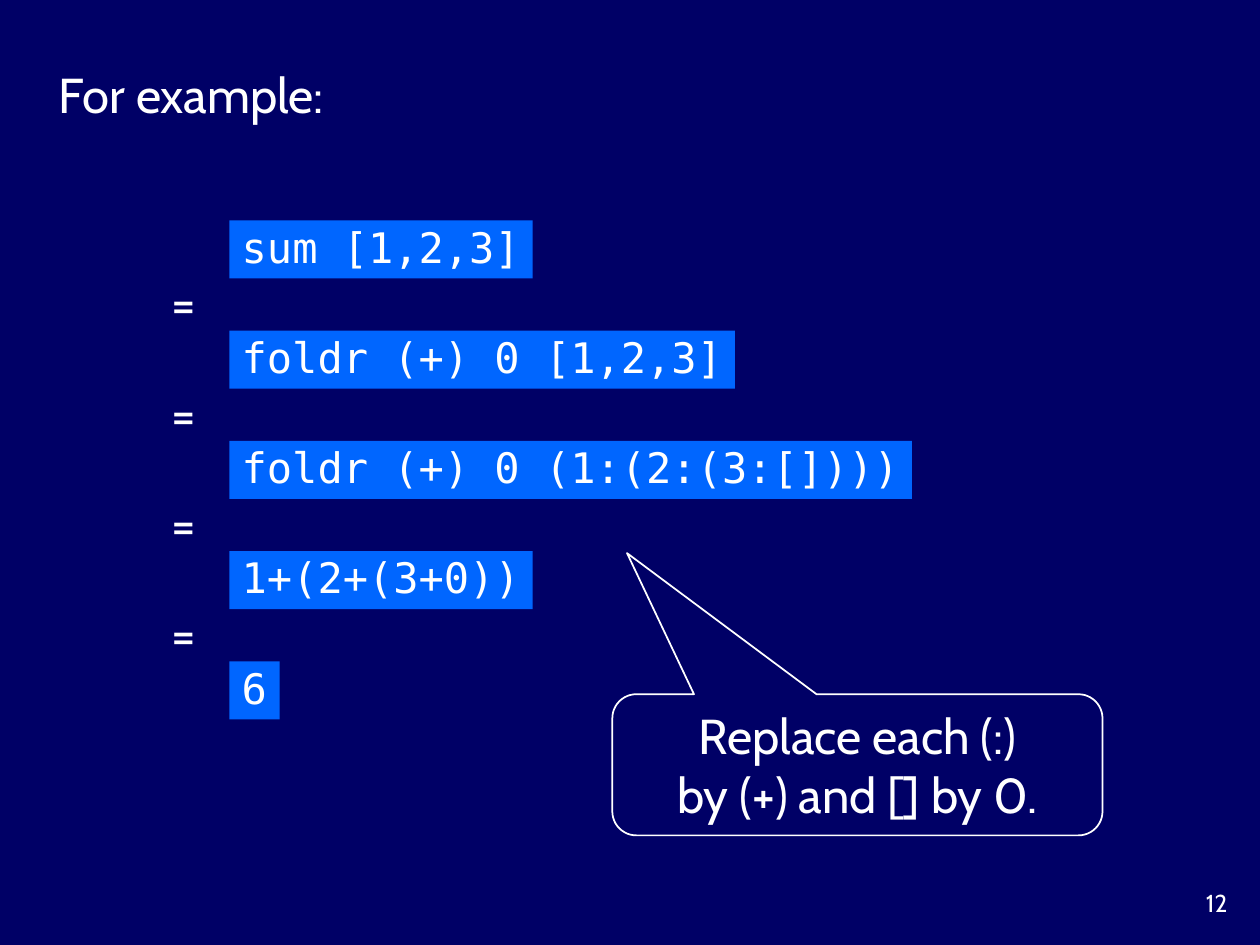
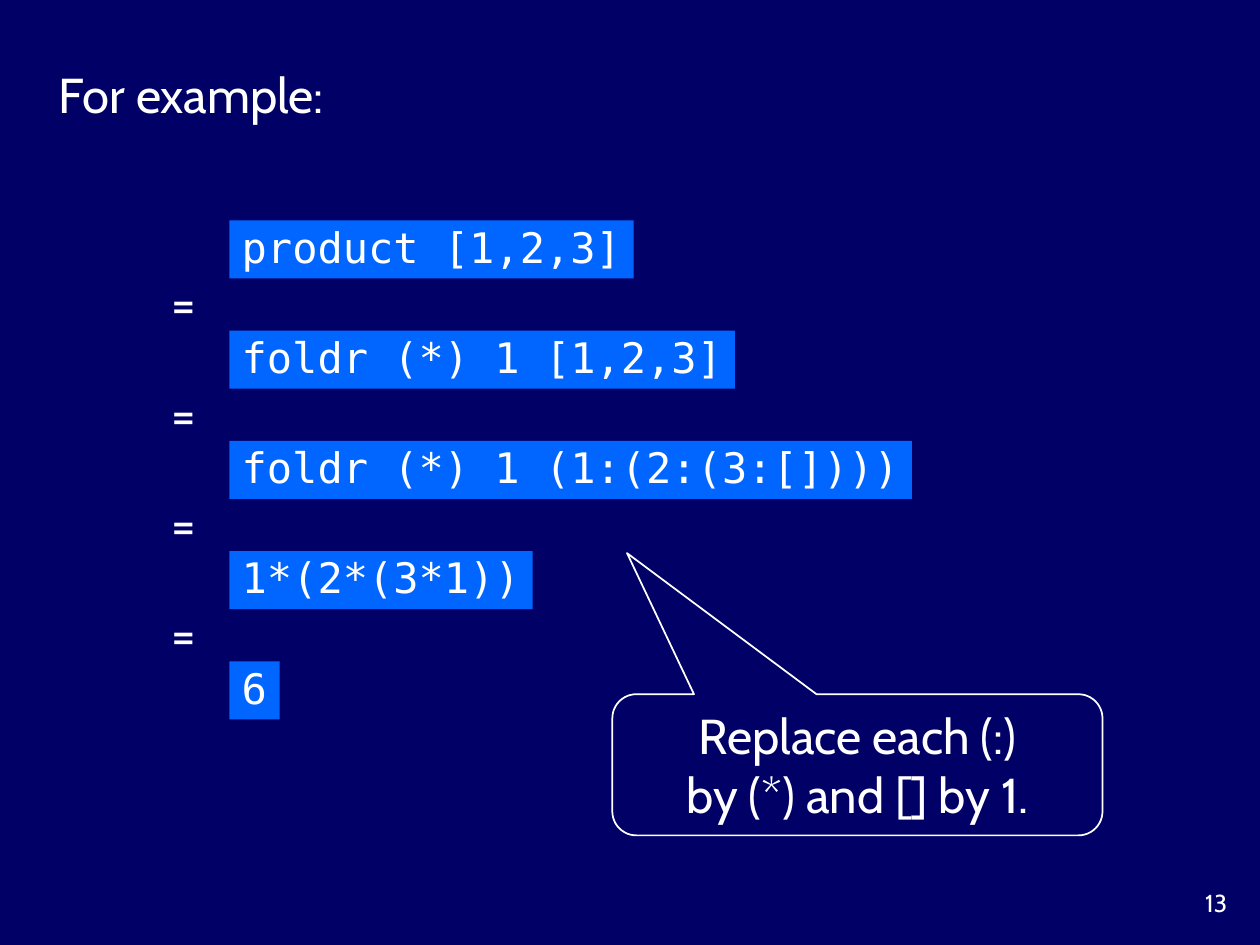
from pptx import Presentation
from pptx.dml.color import RGBColor
from pptx.enum.shapes import MSO_SHAPE
from pptx.enum.text import MSO_ANCHOR, MSO_AUTO_SIZE, PP_ALIGN
from pptx.util import Inches, Pt

NAVY, BLUE, WHITE = "000066", "0066FF", "FFFFFF"
BODY_FONT, CODE_FONT = "Cabin", "DejaVu Sans Mono"
CODE_SIZE = 24
CHAR_WIDTH = CODE_SIZE * 0.602 / 72  # advance of one monospaced character
CODE_LEFT, CODE_TOP, CODE_HEIGHT = 1.82, 1.75, 0.46
STEP_PITCH = 7 / 8
EQUALS_RISE = 0.51  # from the top of a code box up to its equals sign

BODY = {"size": Pt(28), "name": BODY_FONT}
CODE = {"size": Pt(CODE_SIZE), "name": CODE_FONT}
SMALL = {"size": Pt(14), "name": BODY_FONT}

# slide number, steps of the calculation, remark in the callout
EXAMPLES = [
    (12,
     ["sum [1,2,3]", "foldr (+) 0 [1,2,3]", "foldr (+) 0 (1:(2:(3:[])))",
      "1+(2+(3+0))", "6"],
     ["Replace each (:)", "by (+) and [] by 0."]),
    (13,
     ["product [1,2,3]", "foldr (*) 1 [1,2,3]", "foldr (*) 1 (1:(2:(3:[])))",
      "1*(2*(3*1))", "6"],
     ["Replace each (:)", "by (*) and [] by 1."]),
]


def rgb(value):
    return RGBColor.from_string(value)


def set_text(sp, lines, font, align=PP_ALIGN.LEFT, spacing=None, **frame):
    """Write the lines into a shape; frame holds text frame attributes."""
    tf = sp.text_frame
    options = {"word_wrap": True, "vertical_anchor": MSO_ANCHOR.MIDDLE,
               "auto_size": MSO_AUTO_SIZE.SHAPE_TO_FIT_TEXT, **frame}
    for name, value in options.items():
        setattr(tf, name, value)
    for i, line in enumerate(lines):
        p = tf.paragraphs[0] if i == 0 else tf.add_paragraph()
        p.alignment = align
        p.line_spacing = spacing
        r = p.add_run()
        r.text = line
        for name, value in font.items():
            setattr(r.font, name, value)
        r.font.color.rgb = rgb(WHITE)


def add_text(shapes, box, text, font, **options):
    sp = shapes.add_textbox(*map(Inches, box))
    set_text(sp, [text], font, **options)


def add_code(shapes, top, code):
    width = 0.2 + len(code) * CHAR_WIDTH
    sp = shapes.add_shape(MSO_SHAPE.RECTANGLE, Inches(CODE_LEFT), Inches(top),
                          Inches(width), Inches(CODE_HEIGHT))
    sp.shadow.inherit = False
    sp.fill.solid()
    sp.fill.fore_color.rgb = rgb(BLUE)
    sp.line.fill.background()
    set_text(sp, [code], CODE, spacing=0.9, word_wrap=False)


def add_calculation(s, steps):
    """Stack the steps, each later one grouped with its equals sign."""
    for i, code in enumerate(steps):
        top = CODE_TOP + i * STEP_PITCH
        shapes = s.shapes.add_group_shape().shapes if i else s.shapes
        add_code(shapes, top, code)
        if i:
            add_text(shapes, (1.25, top - EQUALS_RISE, 0.42, 0.57), "=", BODY,
                     align=PP_ALIGN.CENTER, word_wrap=False)


def add_callout(s, lines):
    sp = s.shapes.add_shape(MSO_SHAPE.ROUNDED_RECTANGULAR_CALLOUT,
                            *map(Inches, (4.86, 5.51, 3.89, 1.12)))
    for i, value in enumerate((-0.47, -1.5, 0.17)):
        sp.adjustments[i] = value
    sp.shadow.inherit = False
    sp.fill.background()
    sp.line.color.rgb = rgb(WHITE)
    sp.line.width = Pt(1)
    set_text(sp, lines, BODY, align=PP_ALIGN.CENTER)


def add_example_slide(prs, number, steps, remark):
    s = prs.slides.add_slide(prs.slide_layouts[6])
    add_calculation(s, steps)
    add_text(s.shapes, (0.37, 0.46, 8.86, 0.57), "For example:", BODY)
    add_callout(s, remark)
    add_text(s.shapes, (9.17, 7, 0.67, 0.33), str(number), SMALL,
             align=PP_ALIGN.RIGHT, vertical_anchor=MSO_ANCHOR.TOP,
             auto_size=MSO_AUTO_SIZE.NONE)


def main():
    prs = Presentation()
    prs.slide_width, prs.slide_height = Inches(10), Inches(7.5)
    background = prs.slide_master.background.fill
    background.solid()
    background.fore_color.rgb = rgb(NAVY)
    for example in EXAMPLES:
        add_example_slide(prs, *example)
    prs.save("out.pptx")


if __name__ == "__main__":
    main()
